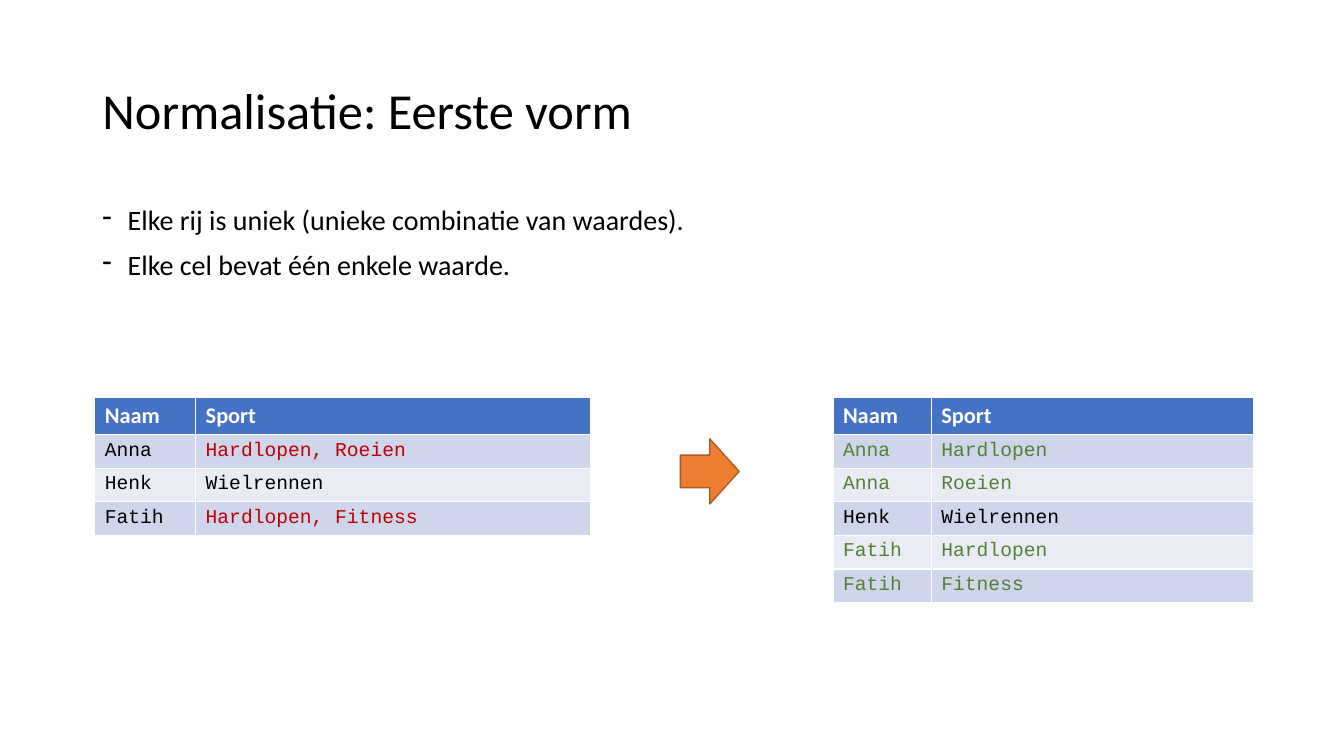
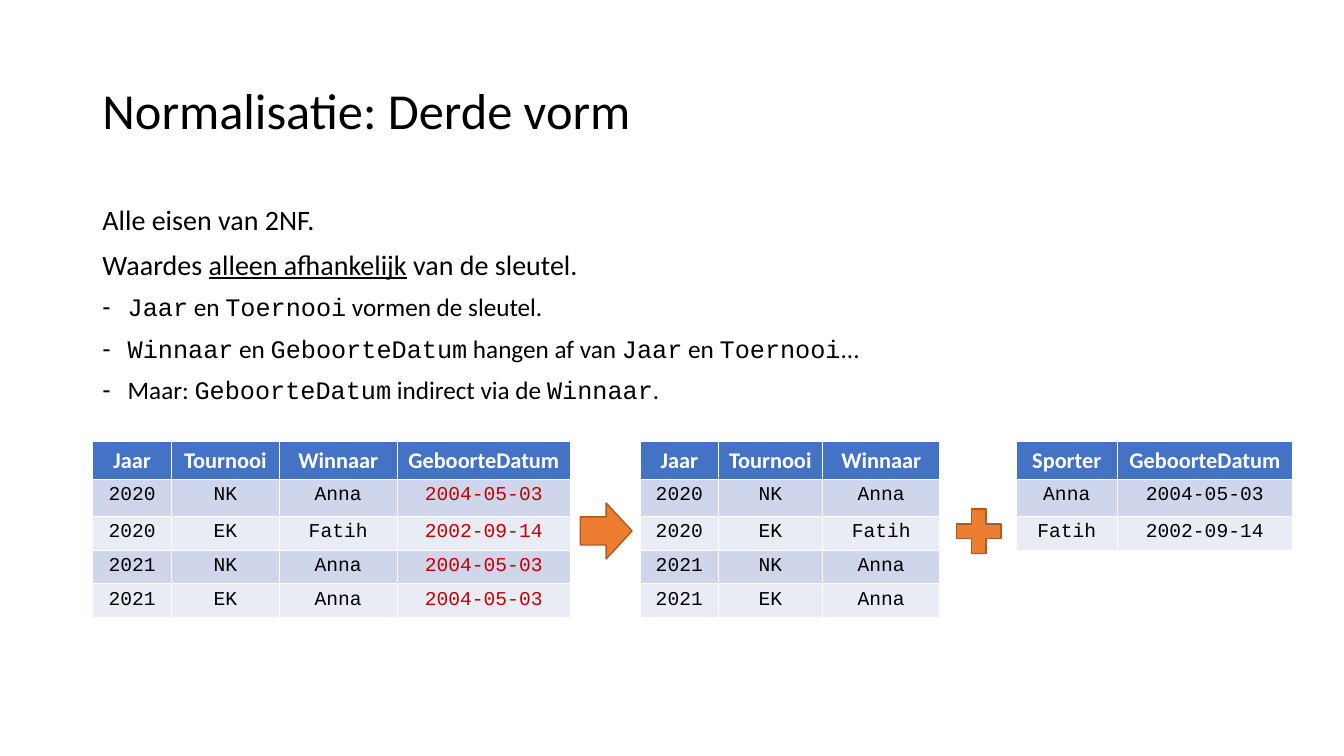
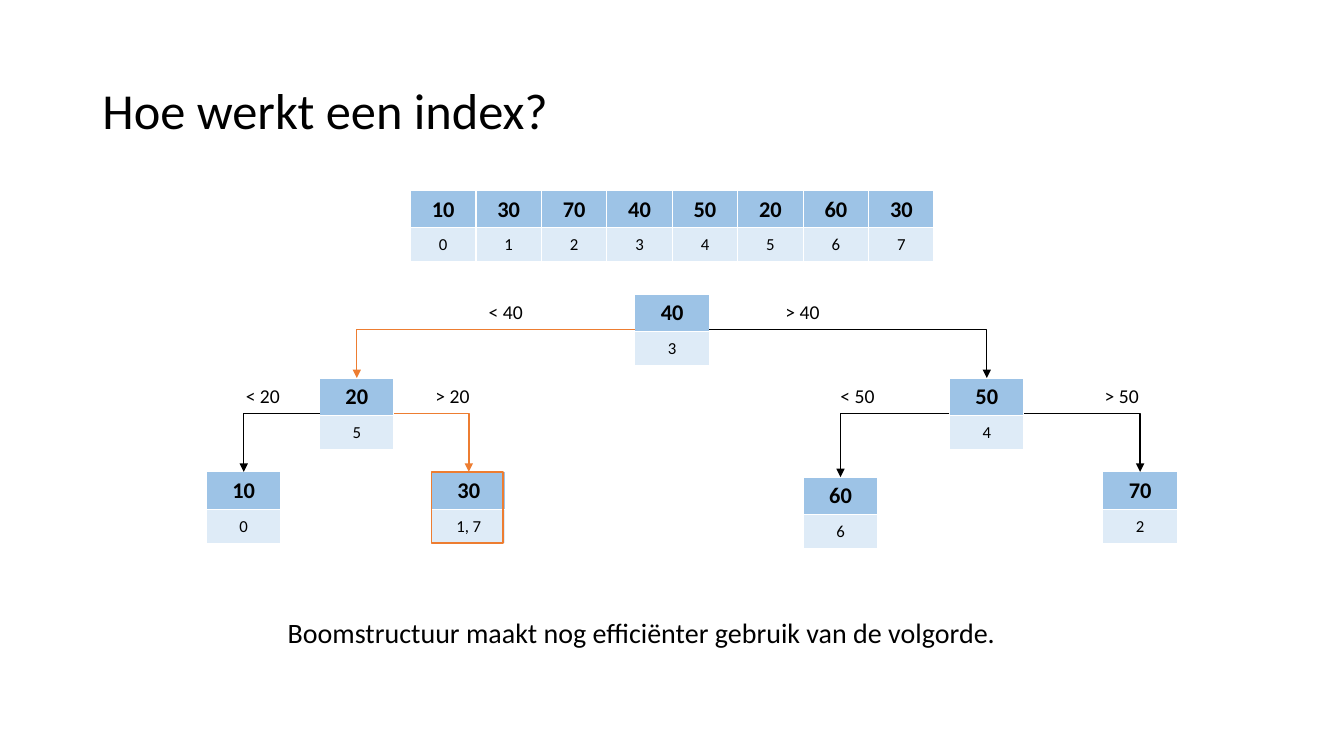
from dataclasses import dataclass, field
from typing import Any

from lxml import etree
from pptx import Presentation
from pptx.dml.color import RGBColor
from pptx.enum.shapes import MSO_CONNECTOR, MSO_SHAPE
from pptx.enum.text import MSO_ANCHOR, MSO_AUTO_SIZE, PP_ALIGN
from pptx.oxml.ns import qn
from pptx.util import Pt

ELBOW = MSO_CONNECTOR.ELBOW
ARROW, PLUS, RECT = MSO_SHAPE.RIGHT_ARROW, MSO_SHAPE.MATH_PLUS, MSO_SHAPE.RECTANGLE
TOP, MIDDLE = MSO_ANCHOR.TOP, MSO_ANCHOR.MIDDLE
LEFT, CENTER = PP_ALIGN.LEFT, PP_ALIGN.CENTER
FIXED, GROW = MSO_AUTO_SIZE.NONE, MSO_AUTO_SIZE.SHAPE_TO_FIT_TEXT
TITLE_ONLY, TITLE_AND_BODY = 5, 1


@dataclass(frozen=True)
class Theme:
    sans: str = "Calibri"
    mono: str = "Courier New"
    black: RGBColor = RGBColor(0x00, 0x00, 0x00)
    white: RGBColor = RGBColor(0xFF, 0xFF, 0xFF)
    red: RGBColor = RGBColor(0xC0, 0x00, 0x00)
    green: RGBColor = RGBColor(0x54, 0x82, 0x35)
    orange: RGBColor = RGBColor(0xED, 0x7D, 0x31)
    brown: RGBColor = RGBColor(0xAE, 0x5A, 0x21)
    header: RGBColor = RGBColor(0x44, 0x72, 0xC4)
    band_dark: RGBColor = RGBColor(0xCF, 0xD5, 0xEA)
    band_light: RGBColor = RGBColor(0xE9, 0xEB, 0xF5)
    key: RGBColor = RGBColor(0x9D, 0xC3, 0xE6)
    position: RGBColor = RGBColor(0xDE, 0xEB, 0xF7)
    title_size: int = 36
    body_size: int = 20
    sub_size: int = 18
    head_size: int = 16
    cell_size: int = 14
    small_size: int = 12


T = Theme()


@dataclass(frozen=True)
class Box:
    x: float
    y: float
    w: float
    h: float

    def lengths(self) -> list[Pt]:
        return [Pt(v) for v in (self.x, self.y, self.w, self.h)]


@dataclass(frozen=True)
class Span:
    text: str
    name: str = T.sans
    underline: bool = False


@dataclass(frozen=True)
class Line:
    spans: list[Span]
    size: int = T.body_size
    bullet: bool = True


@dataclass(frozen=True)
class Look:
    fills: tuple[RGBColor, RGBColor, RGBColor]
    head_color: RGBColor
    body_name: str
    body_size: int
    head_rule: bool
    anchor: MSO_ANCHOR


@dataclass(frozen=True)
class Grid:
    x: float
    y: float
    widths: list[float]
    heights: list[float]
    rows: list[list[str]]
    look: Look
    align: PP_ALIGN = CENTER
    marks: dict[tuple[int, int], RGBColor] = field(default_factory=dict)


@dataclass(frozen=True)
class Node:
    x: float
    y: float
    key: str
    position: str


@dataclass(frozen=True)
class Edge:
    parent: str
    child: str
    label: str
    label_x: float
    color: RGBColor = T.black


DATA = Look((T.header, T.band_dark, T.band_light), T.white, T.mono, T.cell_size, True, TOP)
INDEX = Look((T.key, T.position, T.position), T.black, T.sans, T.small_size, False, MIDDLE)

TITLE_BOX = Box(66, 28.8, 828, 104.4)
BODY_BOX = Box(66, 144, 828, 342.75)
INDENT = 18
ROW_H, TALL_ROW_H = 24, 26.75
INDEX_ROW_H = 24.5
NODE_W, NODE_H, JOINT_Y = 53.25, 51, 25.25


def write(p: Any, span: Span, size: int, color: RGBColor = T.black, bold: bool = False) -> None:
    r = p.add_run()
    r.text = span.text
    fmt = {"name": span.name, "size": Pt(size), "bold": bold, "underline": span.underline}
    for attr, value in fmt.items():
        setattr(r.font, attr, value)
    r.font.color.rgb = color


def set_frame(tf: Any, **fmt: Any) -> None:
    for attr, value in fmt.items():
        setattr(tf, attr, value)


def place(shape: Any, box: Box) -> None:
    for attr, value in zip(("left", "top", "width", "height"), box.lengths()):
        setattr(shape, attr, value)


def start_slide(prs: Any, layout: int, title: str) -> Any:
    s = prs.slides.add_slide(prs.slide_layouts[layout])
    sp = s.shapes.title
    place(sp, TITLE_BOX)
    set_frame(sp.text_frame, auto_size=FIXED, word_wrap=True, vertical_anchor=MIDDLE)
    p = sp.text_frame.paragraphs[0]
    p.alignment, p.line_spacing = LEFT, 0.9
    write(p, Span(title), T.title_size)
    return s


def fill_body(s: Any, lines: list[Line]) -> None:
    sp = s.placeholders[1]
    place(sp, BODY_BOX)
    tf = sp.text_frame
    set_frame(tf, auto_size=FIXED, word_wrap=True, vertical_anchor=TOP)
    for i, line in enumerate(lines):
        p = tf.add_paragraph() if i else tf.paragraphs[0]
        p.line_spacing, p.space_before = 0.9, Pt(10)
        pPr = p._p.get_or_add_pPr()
        indent = Pt(INDENT) if line.bullet else 0
        pPr.set("marL", str(indent))
        pPr.set("indent", str(-indent))
        if line.bullet:
            etree.SubElement(pPr, qn("a:buFontTx"))
            etree.SubElement(pPr, qn("a:buChar")).set("char", "-")
        else:
            etree.SubElement(pPr, qn("a:buNone"))
        for span in line.spans:
            write(p, span, line.size)


def draw_grid(s: Any, grid: Grid) -> None:
    box = Box(grid.x, grid.y, sum(grid.widths), sum(grid.heights))
    look = grid.look
    table = s.shapes.add_table(len(grid.rows), len(grid.widths), *box.lengths()).table
    table.first_row, table.horz_banding = look.head_rule, False
    for column, width in zip(table.columns, grid.widths):
        column.width = Pt(width)
    for i, (values, height) in enumerate(zip(grid.rows, grid.heights)):
        table.rows[i].height = Pt(height)
        head = i == 0
        fill = look.fills[0] if head else look.fills[2 - i % 2]
        name, size = (T.sans, T.head_size) if head else (look.body_name, look.body_size)
        for j, value in enumerate(values):
            cell = table.cell(i, j)
            cell.fill.solid()
            cell.fill.fore_color.rgb = fill
            cell.vertical_anchor = look.anchor
            p = cell.text_frame.paragraphs[0]
            p.alignment = grid.align
            color = look.head_color if head else grid.marks.get((i, j), T.black)
            write(p, Span(value, name), size, color, head)


def draw_shape(s: Any, kind: MSO_SHAPE, box: Box, line: RGBColor, fill: RGBColor | None = None) -> None:
    sp = s.shapes.add_shape(kind, *box.lengths())
    sp.shadow.inherit = False
    if fill is None:
        sp.fill.background()
    else:
        sp.fill.solid()
        sp.fill.fore_color.rgb = fill
    sp.line.color.rgb = line
    sp.line.width = Pt(1)


def draw_edge(s: Any, parent: Node, child: Node, color: RGBColor) -> None:
    x1 = parent.x + (NODE_W if child.x > parent.x else 0)
    ends = (x1, parent.y + JOINT_Y, child.x + NODE_W / 2, child.y)
    cxn = s.shapes.add_connector(ELBOW, *(Pt(v) for v in ends))
    cxn.line.color.rgb = color
    cxn.line.width = Pt(1)
    spPr = cxn.element.spPr
    spPr.find(qn("a:prstGeom")).set("prst", "bentConnector2")
    etree.SubElement(spPr.find(qn("a:ln")), qn("a:tailEnd")).set("type", "triangle")
    etree.SubElement(spPr, qn("a:effectLst"))


def add_text(s: Any, box: Box, text: str, size: int) -> Any:
    tf = s.shapes.add_textbox(*box.lengths()).text_frame
    write(tf.paragraphs[0], Span(text), size)
    return tf


def code(text: str) -> Span:
    return Span(text, T.mono)


def first_form(prs: Any) -> None:
    s = start_slide(prs, TITLE_AND_BODY, "Normalisatie: Eerste vorm")
    fill_body(s, [
        Line([Span("Elke rij is uniek (unieke combinatie van waardes).")]),
        Line([Span("Elke cel bevat één enkele waarde.")]),
    ])
    head = ["Naam", "Sport"]
    split = [head, ["Anna", "Hardlopen"], ["Anna", "Roeien"], ["Henk", "Wielrennen"],
             ["Fatih", "Hardlopen"], ["Fatih", "Fitness"]]
    joined = [head, ["Anna", "Hardlopen, Roeien"], ["Henk", "Wielrennen"],
              ["Fatih", "Hardlopen, Fitness"]]
    green = {(i, j): T.green for i in (1, 2, 4, 5) for j in (0, 1)}
    red = {(i, 1): T.red for i in (1, 3)}
    y = 283.75
    draw_grid(s, Grid(595, y, [70.25, 230], [ROW_H] * 6, split, DATA, LEFT, green))
    draw_shape(s, ARROW, Box(486, 313.5, 42, 46.5), T.brown, T.orange)
    draw_grid(s, Grid(67.75, y, [72, 282], [ROW_H] * 4, joined, DATA, LEFT, red))


def third_form(prs: Any) -> None:
    s = start_slide(prs, TITLE_AND_BODY, "Normalisatie: Derde vorm")
    fill_body(s, [
        Line([Span("Alle eisen van 2NF.")], bullet=False),
        Line([Span("Waardes "), Span("alleen afhankelijk", underline=True),
              Span(" van de sleutel.")], bullet=False),
        Line([code("Jaar"), Span(" en "), code("Toernooi"),
              Span(" vormen de sleutel.")], T.sub_size),
        Line([code("Winnaar"), Span(" en "), code("GeboorteDatum"), Span(" hangen af van "),
              code("Jaar"), Span(" en "), code("Toernooi"), Span("...")], T.sub_size),
        Line([Span("Maar: "), code("GeboorteDatum"), Span(" indirect via de "),
              code("Winnaar"), Span(".")], T.sub_size),
    ])
    births = {"Anna": "2004-05-03", "Fatih": "2002-09-14"}
    wins = [["2020", "NK", "Anna"], ["2020", "EK", "Fatih"],
            ["2021", "NK", "Anna"], ["2021", "EK", "Anna"]]
    head = ["Jaar", "Tournooi", "Winnaar"]
    full = [head + ["GeboorteDatum"]] + [row + [births[row[2]]] for row in wins]
    people = [["Sporter", "GeboorteDatum"]] + [list(pair) for pair in births.items()]
    heights = [ROW_H, TALL_ROW_H, ROW_H, ROW_H, ROW_H]
    red = {(i, 3): T.red for i in range(1, 5)}
    y = 315.5
    draw_grid(s, Grid(66.25, y, [56.25, 77, 84.25, 123.75], heights, full, DATA, marks=red))
    draw_grid(s, Grid(457.5, y, [55.5, 74.5, 84], heights, [head] + wins, DATA))
    draw_grid(s, Grid(726, y, [72, 125.25], heights[:3], people, DATA))
    draw_shape(s, ARROW, Box(414.5, 359.25, 37, 40), T.brown, T.orange)
    draw_shape(s, PLUS, Box(677.5, 357.75, 43.25, 43.25), T.brown, T.orange)


def index_tree(prs: Any) -> None:
    s = start_slide(prs, TITLE_ONLY, "Hoe werkt een index?")
    heights = [INDEX_ROW_H] * 2
    nodes = {n.key: n for n in (
        Node(228.25, 270, "20", "5"),
        Node(453.5, 210, "40", "3"),
        Node(678.25, 270, "50", "4"),
        Node(787.75, 337, "70", "2"),
        Node(147.5, 337, "10", "0"),
        Node(573.75, 340.75, "60", "6"),
        Node(308.25, 337, "30", "1, 7"),
    )}
    edges = [
        Edge("40", "20", "< 40", 342, T.orange),
        Edge("40", "50", "> 40", 554),
        Edge("20", "10", "< 20", 168.5),
        Edge("20", "30", "> 20", 304, T.orange),
        Edge("50", "60", "< 50", 593.25),
        Edge("50", "70", "> 50", 782),
    ]
    for n in nodes.values():
        draw_grid(s, Grid(n.x, n.y, [NODE_W], heights, [[n.key], [n.position]], INDEX))
    for e in edges:
        draw_edge(s, nodes[e.parent], nodes[e.child], e.color)
    tf = add_text(s, Box(157, 438.5, 602.5, 34.5),
                  "Boomstructuur maakt nog efficiënter gebruik van de volgorde.", T.body_size)
    tf.word_wrap = True
    p = tf.paragraphs[0]
    p.alignment, p.line_spacing, p.space_before = CENTER, 0.9, Pt(10)
    for e in edges:
        box = Box(e.label_x, nodes[e.parent].y + 0.75, 39, 24.25)
        set_frame(add_text(s, box, e.label, T.cell_size), word_wrap=False, auto_size=GROW)
    found = nodes["30"]
    draw_shape(s, RECT, Box(found.x, found.y, NODE_H, NODE_H), T.orange)
    keys = ["10", "30", "70", "40", "50", "20", "60", "30"]
    positions = [str(i) for i in range(len(keys))]
    draw_grid(s, Grid(293.25, 136.25, [46.75] * len(keys), heights, [keys, positions], INDEX))


def main() -> None:
    prs = Presentation()
    prs.slide_width, prs.slide_height = Pt(960), Pt(540)
    for build in (first_form, third_form, index_tree):
        build(prs)
    prs.save("out.pptx")


if __name__ == "__main__":
    main()
